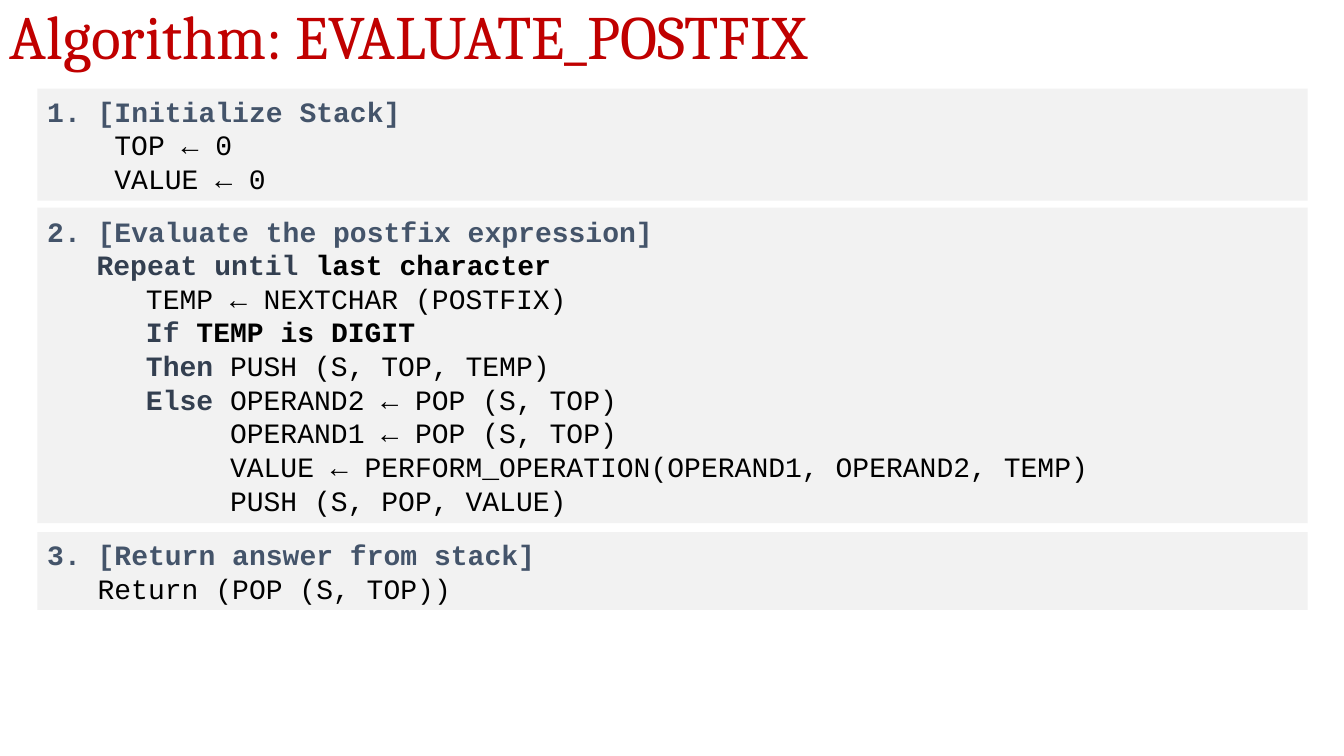
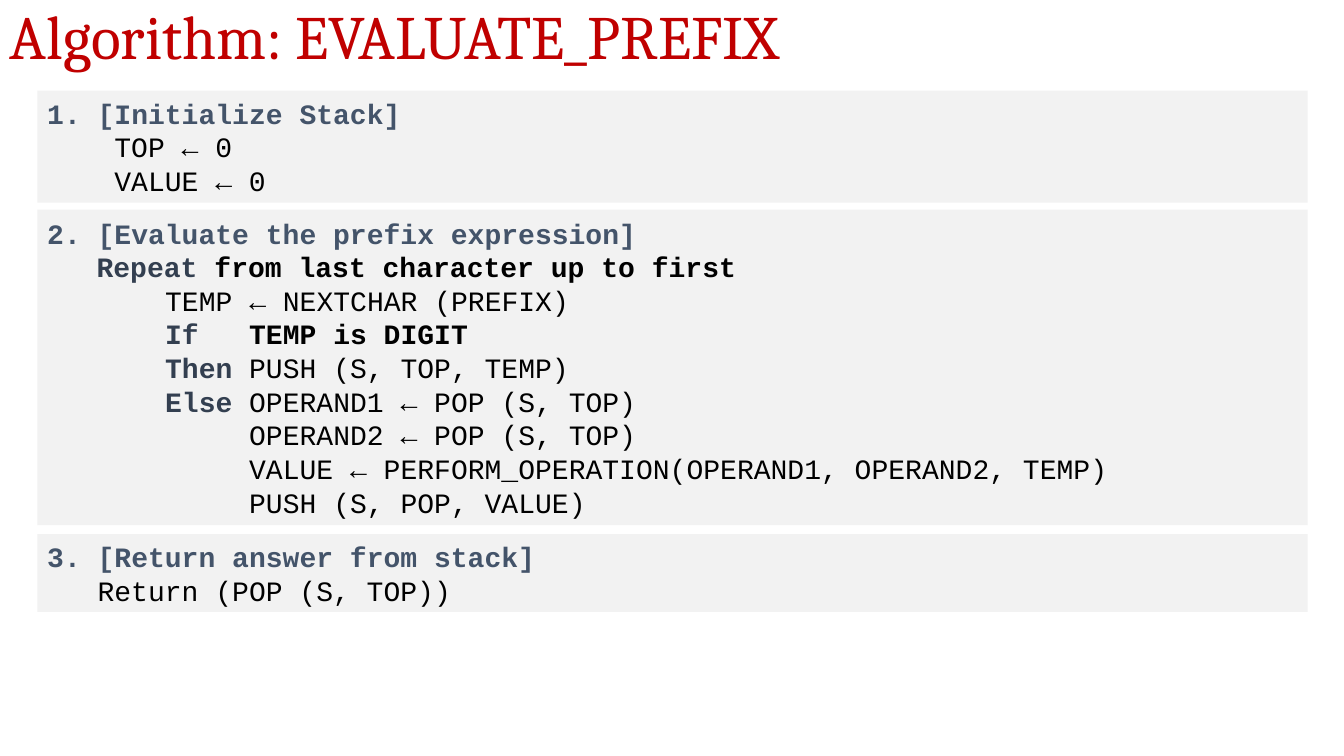
from pptx import Presentation
from pptx.dml.color import RGBColor
from pptx.enum.shapes import MSO_SHAPE
from pptx.enum.text import MSO_ANCHOR, PP_ALIGN
from pptx.util import Inches, Pt

RECT = MSO_SHAPE.RECTANGLE
MIDDLE = MSO_ANCHOR.MIDDLE
LEFT = PP_ALIGN.LEFT

RED, GREY, SLATE, NAVY, BLACK = "C00000", "F2F2F2", "44546A", "333F50", "000000"
WIDTH = 13.33
CHAR = 1 / 6  # width of one 20 pt Courier New letter, in inches


def color(code):
    return RGBColor.from_string(code)


def add_title(slide, text):
    box = slide.shapes.add_textbox(0, 0, Inches(WIDTH), Inches(0.78))
    frame = box.text_frame
    frame.word_wrap = True
    frame.vertical_anchor = MIDDLE
    para = frame.paragraphs[0]
    para.text = text
    para.line_spacing = 0.9
    para.font.name = "Cambria"
    para.font.size = Pt(44)
    para.font.color.rgb = color(RED)


def add_line(para, indent, key, rest, bold, hang=0):
    """Write a code line: a bold keyword, then the rest; a tab jumps to the hang."""
    para.alignment = LEFT
    props = para._p.get_or_add_pPr()
    props.set("marL", str(Inches(indent + hang)))
    props.set("indent", str(-Inches(hang)))
    para.font.name = "Courier New"
    para.font.size = Pt(20)
    for text, code, heavy in ((key, NAVY, True), (rest, BLACK, bold)):
        if text:
            run = para.add_run()
            run.text = text
            run.font.bold = heavy
            run.font.color.rgb = color(code)


def add_step(slide, top, height, head, lines):
    box = slide.shapes.add_shape(
        RECT, Inches(0.37), Inches(top), Inches(12.6), Inches(height))
    box.shadow.inherit = False
    box.fill.solid()
    box.fill.fore_color.rgb = color(GREY)
    box.line.fill.background()
    frame = box.text_frame
    frame.word_wrap = True
    frame.vertical_anchor = MIDDLE
    first = frame.paragraphs[0]
    add_line(first, 0, head, "", False)
    first.runs[0].font.color.rgb = color(SLATE)
    for line in lines:
        add_line(frame.add_paragraph(), *line)


def add_slide(deck, kind, top, loop, body, gap, first, second):
    slide = deck.slides.add_slide(deck.slide_layouts[6])
    add_title(slide, f"Algorithm: EVALUATE_{kind.upper()}")

    # Step 1: start values
    add_step(slide, top, 1.11, "1. [Initialize Stack]", [
        (4 * CHAR, "", f"{name} ← 0", False) for name in ("TOP", "VALUE")])

    # Step 2: loop, with operands aligned after the keywords
    hang = 5 * CHAR
    add_step(slide, top + 1.18, 3.13, f"2. [Evaluate the {kind} expression]", [
        (0.49, *loop, True),
        (body, "", f"TEMP ← NEXTCHAR ({kind.upper()})", False),
        (body, "If", f"{gap}TEMP is DIGIT", True, hang),
        (body, "Then", "\tPUSH (S, TOP, TEMP)", False, hang),
        (body, "Else", f"\t{first} ← POP (S, TOP)", False, hang),
        (body + hang, "", f"{second} ← POP (S, TOP)", False),
        (body + hang, "", "VALUE ← PERFORM_OPERATION(OPERAND1, OPERAND2, TEMP)", False),
        (body + hang, "", "PUSH (S, POP, VALUE)", False)])

    # Step 3: result
    add_step(slide, top + 4.4, 0.77, "3. [Return answer from stack]", [
        (3 * CHAR, "", "Return (POP (S, TOP))", False)])


def main():
    deck = Presentation()
    deck.slide_width, deck.slide_height = Inches(WIDTH), Inches(7.5)
    add_slide(deck, "postfix", 0.88, ("Repeat until", " last character"),
              0.98, " ", "OPERAND2", "OPERAND1")
    add_slide(deck, "prefix", 0.9, ("Repeat", " from last character up to first"),
              1.17, "\t", "OPERAND1", "OPERAND2")
    deck.save("out.pptx")


if __name__ == "__main__":
    main()
